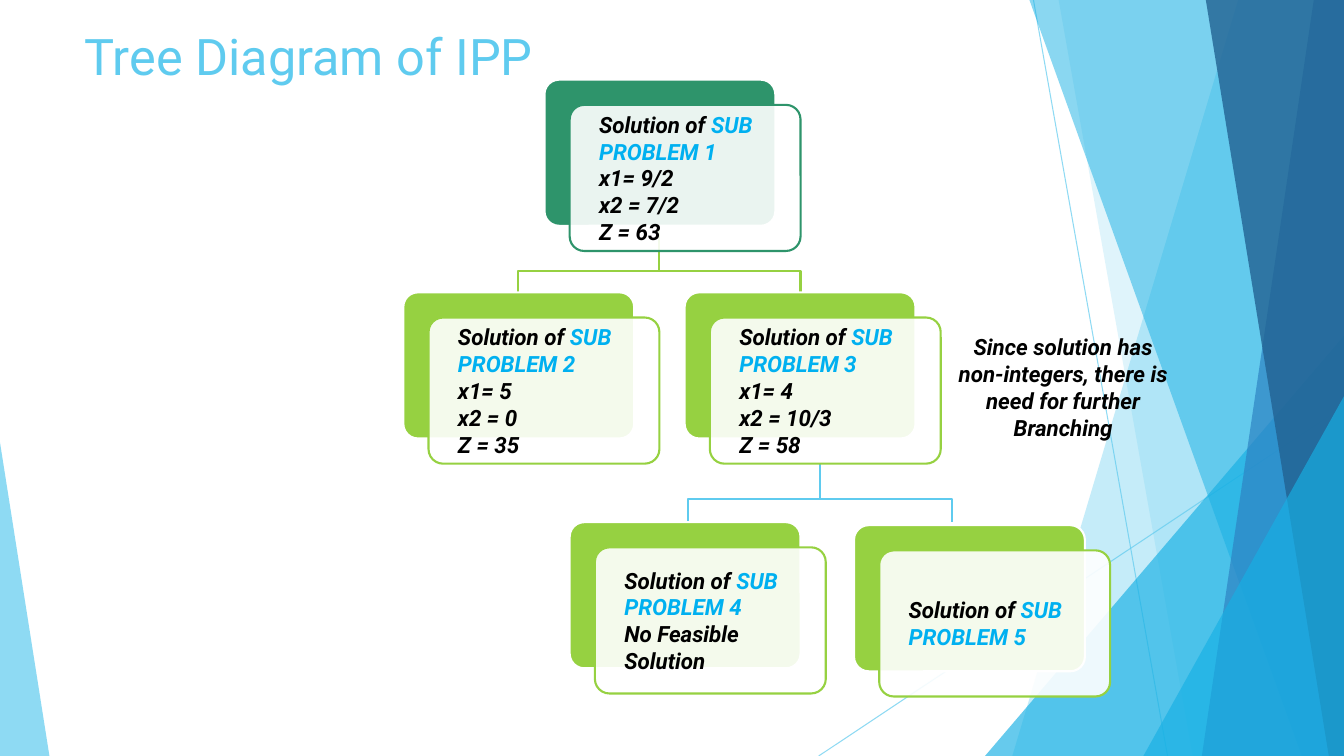
from lxml.etree import SubElement
from pptx import Presentation
from pptx.dml.color import RGBColor
from pptx.enum.shapes import MSO_CONNECTOR, MSO_SHAPE
from pptx.enum.text import MSO_ANCHOR, PP_ALIGN
from pptx.oxml.ns import qn
from pptx.util import Inches, Pt

WIDTH, HEIGHT = 13.33, 7.5
CARD_WIDTH, CARD_HEIGHT, CARD_OFFSET = 2.29, 1.45, 0.25
SKY, AZURE, BLUE, NAVY = "5FCBEF", "17B0E4", "2E83C3", "226292"
GREEN, LIME, ACCENT, BLACK, WHITE = "2E946B", "96D141", "00B0F0", "000000", "FFFFFF"
BODY_FONT = {"name": "Roboto", "size": Pt(16), "bold": True, "italic": True}
TITLE_FONT = {"name": "Roboto", "size": Pt(36), "bold": False}

# Top x, bottom x, colour and opacity of the bands that reach the right edge
BANDS_BEHIND = [(12.28, 10.04, SKY, 36), (10.5, 11.83, SKY, 20)]
BANDS_IN_FRONT = [(10.21, 12.91, AZURE, 50), (13.03, 11.92, BLUE, 70), (11.96, 13.18, NAVY, 80)]

# Left and top of the back plate, plate colour, problem number, result lines
CARDS = [
    (5.4, 0.79, GREEN, 1, ["x1= 9/2", "x2 = 7/2", "Z = 63"]),
    (4, 2.9, LIME, 2, ["x1= 5", "x2 = 0", "Z = 35"]),
    (6.79, 2.9, LIME, 3, ["x1= 4", "x2 = 10/3", "Z = 58"]),
    (5.65, 5.18, LIME, 4, ["No Feasible Solution"]),
    (8.47, 5.21, LIME, 5, []),
]


def paint(fill, color, opacity=100):
    fill.solid()
    fill.fore_color.rgb = RGBColor.from_string(color)
    if opacity < 100:
        color_element = fill._xPr.find(qn("a:solidFill"))[0]
        SubElement(color_element, qn("a:alpha")).set("val", str(opacity * 1000))


def format_font(font, color, values):
    for name, value in values.items():
        setattr(font, name, value)
    paint(font.fill, color)


def add_run(paragraph, text, color=BLACK):
    run = paragraph.add_run()
    run.text = text
    format_font(run.font, color, BODY_FONT)


def set_frame(frame, **values):
    for name, value in values.items():
        setattr(frame, name, value)


def draw_outline(slide, points, close):
    """Build a freeform from points given in inches."""
    corners = [(Inches(x), Inches(y)) for x, y in points]
    builder = slide.shapes.build_freeform(*corners[0])
    builder.add_line_segments(corners[1:], close=close)
    shape = builder.convert_to_shape()
    shape.shadow.inherit = False
    return shape


def draw_preset(slide, kind, left, top, width, height, adjustment):
    shape = slide.shapes.add_shape(kind, Inches(left), Inches(top), Inches(width), Inches(height))
    shape.adjustments[0] = adjustment
    shape.shadow.inherit = False
    return shape


def draw_thin_line(slide, start, end):
    line = slide.shapes.add_connector(
        MSO_CONNECTOR.STRAIGHT, *(Inches(value) for value in start + end))
    paint(line.line.fill, SKY, 70)
    line.line.width = Pt(0.75)
    SubElement(line._element.spPr, qn("a:effectLst"))


def draw_band(slide, top_x, bottom_x, color, opacity):
    points = [(top_x, 0), (WIDTH, 0), (WIDTH, HEIGHT), (bottom_x, HEIGHT)]
    band = draw_outline(slide, points, close=True)
    paint(band.fill, color, opacity)
    band.line.fill.background()


def draw_corner(slide, left, width, height, apex, color, opacity):
    """Draw a right triangle that stands on the bottom edge."""
    corner = draw_preset(slide, MSO_SHAPE.ISOSCELES_TRIANGLE,
                         left, HEIGHT - height, width, height, apex)
    paint(corner.fill, color, opacity)
    corner.line.fill.background()


def draw_backdrop(slide):
    draw_thin_line(slide, (10.25, 0), (11.58, HEIGHT))
    draw_thin_line(slide, (WIDTH, 4.03), (8.12, HEIGHT))
    for band in BANDS_BEHIND:
        draw_band(slide, *band)
    draw_corner(slide, 9.77, 3.56, 4.17, 1, AZURE, 66)
    for band in BANDS_IN_FRONT:
        draw_band(slide, *band)
    draw_corner(slide, 11.34, 1.99, 3.57, 1, AZURE, 66)
    draw_corner(slide, 0, 0.49, 3.11, 0, SKY, 70)


def draw_title(slide, left, top, width, height):
    title = slide.shapes.title
    title.left, title.top = Inches(left), Inches(top)
    title.width, title.height = Inches(width), Inches(height)
    set_frame(title.text_frame, text="Tree Diagram of IPP", vertical_anchor=MSO_ANCHOR.MIDDLE)
    paragraph = title.text_frame.paragraphs[0]
    paragraph.alignment = PP_ALIGN.LEFT
    format_font(paragraph.runs[0].font, SKY, TITLE_FONT)


def draw_branches(slide, stem_x, top, bend, bottom, spread, color):
    """Draw one elbow to each side of the stem."""
    for child_x in (stem_x + spread, stem_x - spread):
        points = [(stem_x, top), (stem_x, bend), (child_x, bend), (child_x, bottom)]
        branch = draw_outline(slide, points, close=False)
        branch.fill.background()
        paint(branch.line.fill, color)
        branch.line.width = Pt(1.5)


def draw_card(slide, left, top, color, number, results):
    plates = []
    for offset, fill, opacity, outline in ((0, color, 100, WHITE), (CARD_OFFSET, WHITE, 90, color)):
        plate = draw_preset(slide, MSO_SHAPE.ROUNDED_RECTANGLE, left + offset, top + offset,
                            CARD_WIDTH, CARD_HEIGHT, 0.1)
        paint(plate.fill, fill, opacity)
        paint(plate.line.fill, outline)
        plate.line.width = Pt(1.5)
        plates.append(plate)

    frame = plates[-1].text_frame
    set_frame(frame, word_wrap=True, vertical_anchor=MSO_ANCHOR.MIDDLE,
              margin_left=Inches(0.25), margin_right=Inches(0.25),
              margin_top=0, margin_bottom=0)
    heading = frame.paragraphs[0]
    add_run(heading, "Solution of ")
    add_run(heading, f"SUB PROBLEM {number}", ACCENT)
    for result in results:
        add_run(frame.add_paragraph(), result)
    for paragraph in frame.paragraphs:
        paragraph.alignment = PP_ALIGN.LEFT


def draw_remark(slide, left, top, width, height):
    box = slide.shapes.add_textbox(Inches(left), Inches(top), Inches(width), Inches(height))
    box.text_frame.word_wrap = True
    paragraph = box.text_frame.paragraphs[0]
    paragraph.alignment = PP_ALIGN.CENTER
    add_run(paragraph, "Since solution has non-integers, there is need for further Branching")


def main():
    presentation = Presentation()
    presentation.slide_width = Inches(WIDTH)
    presentation.slide_height = Inches(HEIGHT)
    slide = presentation.slides.add_slide(presentation.slide_layouts[5])
    draw_backdrop(slide)
    draw_title(slide, 0.74, 0.15, 9.4, 0.8)
    draw_branches(slide, 6.54, 2.24, 2.69, 2.9, 1.4, LIME)
    draw_branches(slide, 8.13, 4.6, 4.95, 5.18, 1.31, SKY)
    for card in CARDS:
        draw_card(slide, *card)
    draw_remark(slide, 9.33, 3.26, 2.43, 0.74)
    presentation.save("out.pptx")


if __name__ == "__main__":
    main()
